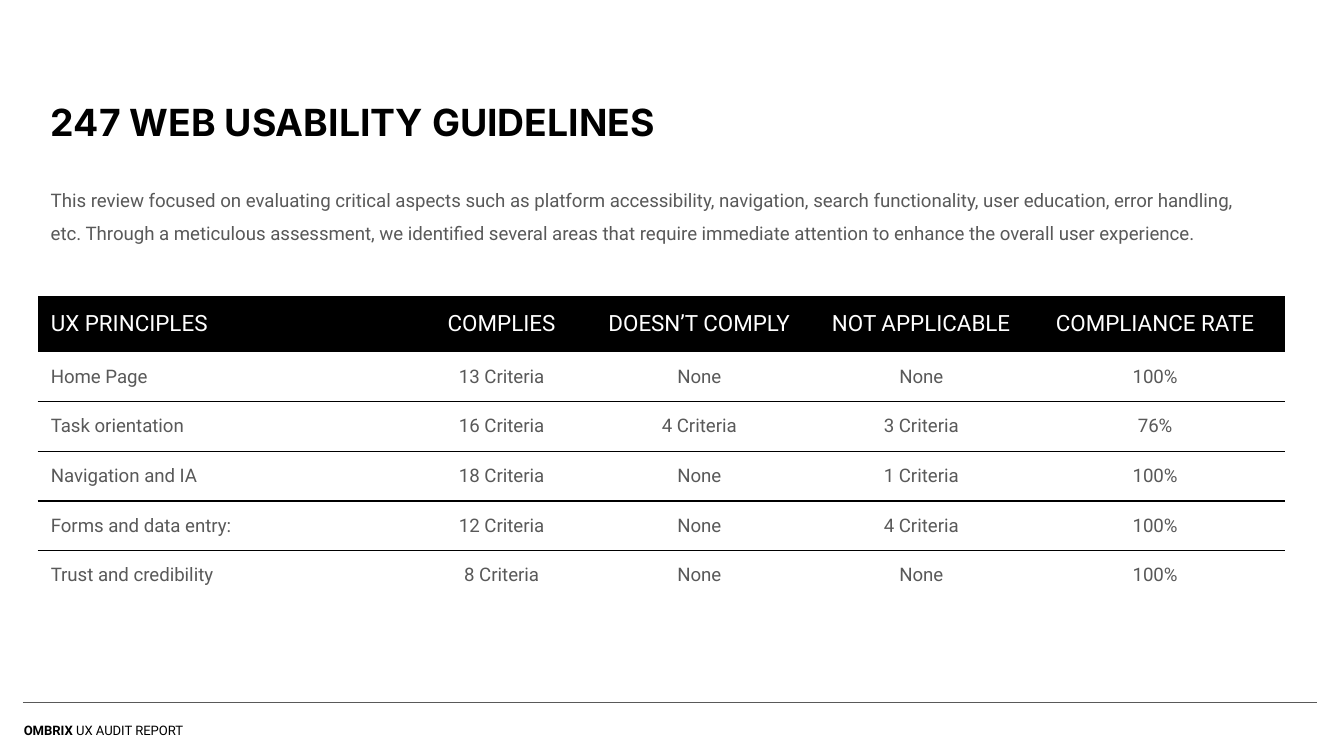
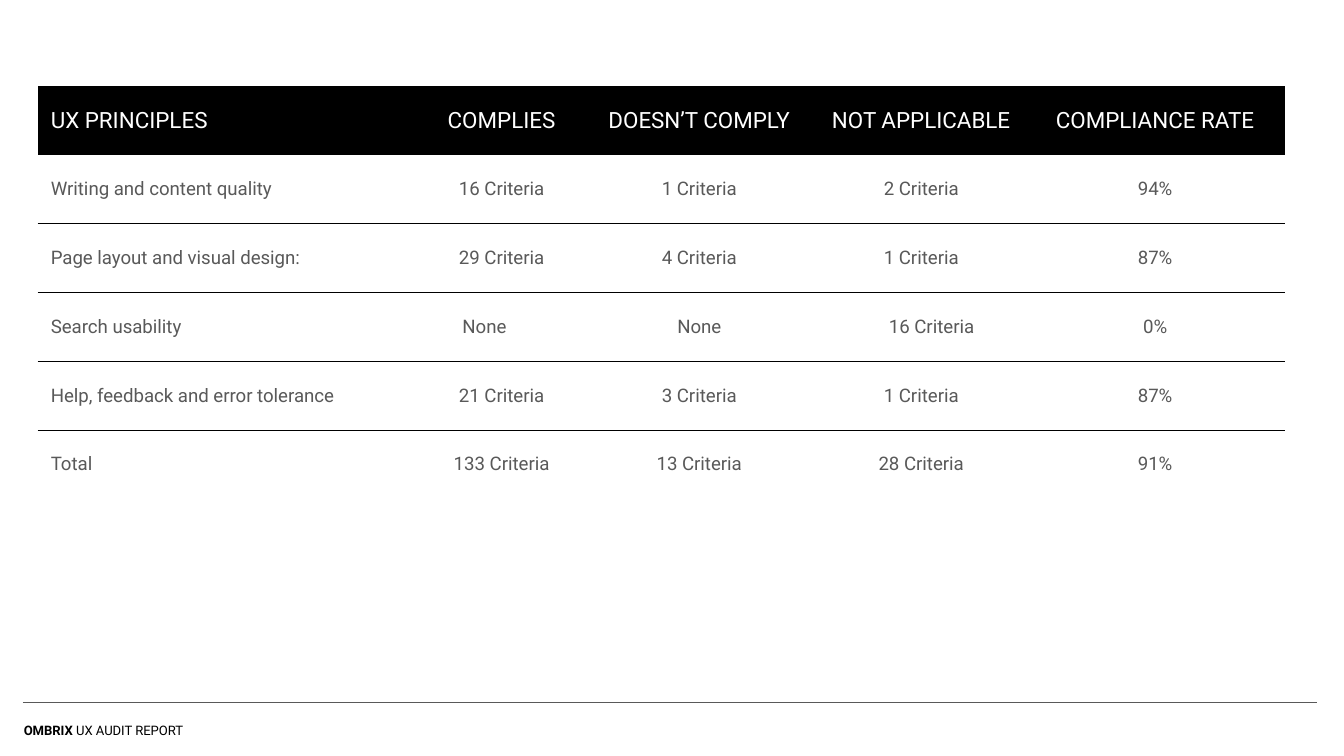
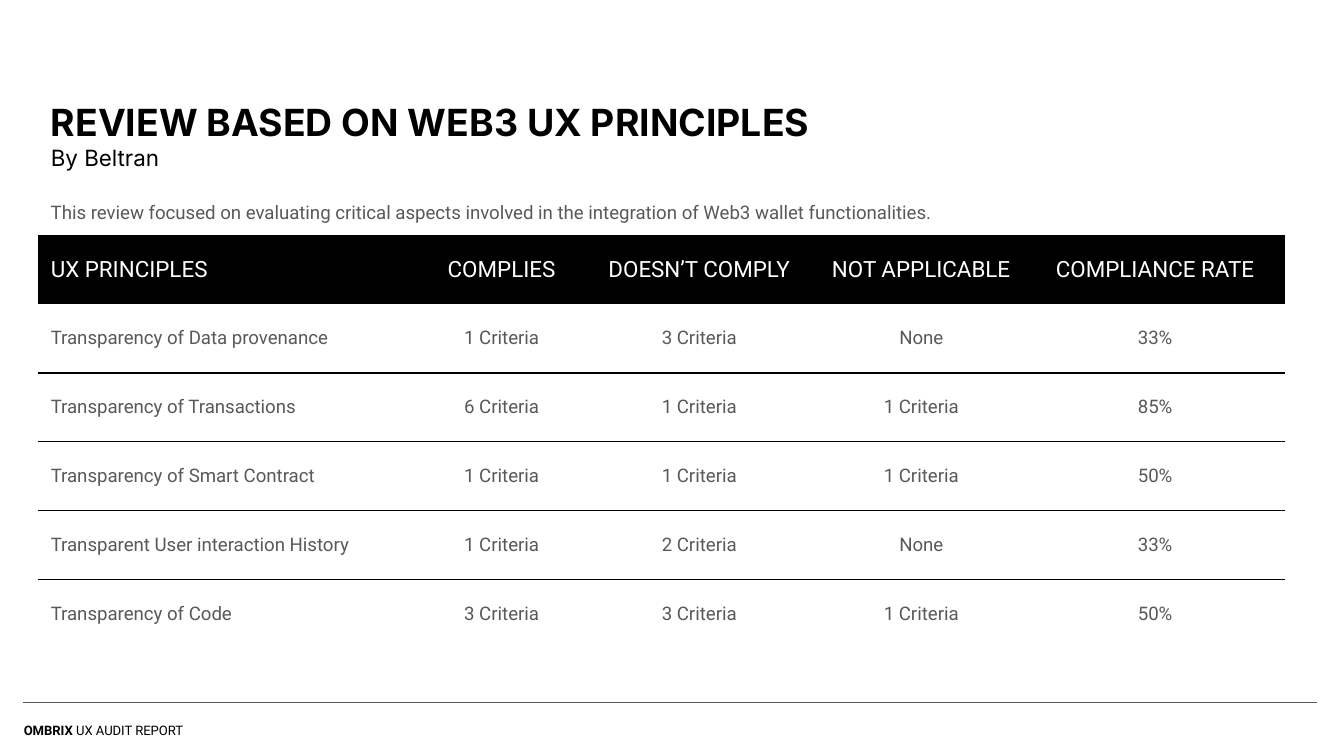
from lxml import etree
from pptx import Presentation
from pptx import util as u
from pptx.dml.color import RGBColor
from pptx.enum import shapes, text
from pptx.oxml import ns

Cm, Pt = u.Cm, u.Pt
COLORS = {"ink": "000000", "paper": "FFFFFF", "grey": "595959"}
HEAD_FONT, BODY_FONT = "Inter", "Roboto"
TITLE_ONLY, BLANK = 5, 6
LEFT = 0.71
INSET = 0.25
RULE_PT = 0.75
NO_STYLE = "{2D5ABB26-0587-4C30-8999-92F81FD0307C}"

COLUMN_WIDTHS = (7.26, 3.02, 4.45, 3.94, 4.9)
HEADERS = ("UX PRINCIPLES", "COMPLIES", "DOESN’T COMPLY",
           "NOT APPLICABLE", "COMPLIANCE RATE")
USABILITY = [
    ("Home Page", "13 Criteria", "None", "None", "100%"),
    ("Task orientation", "16 Criteria", "4 Criteria", "3 Criteria", "76%"),
    ("Navigation and IA", "18 Criteria", "None", "1 Criteria", "100%"),
    ("Forms and data entry:", "12 Criteria", "None", "4 Criteria", "100%"),
    ("Trust and credibility", "8 Criteria", "None", "None", "100%"),
]
CONTENT = [
    ("Writing and content quality", "16 Criteria", "1 Criteria", "2 Criteria", "94%"),
    ("Page layout and visual design:", "29 Criteria", "4 Criteria", "1 Criteria", "87%"),
    ("Search usability", "None", "None", "16 Criteria", "0%"),
    ("Help, feedback and error tolerance", "21 Criteria", "3 Criteria", "1 Criteria", "87%"),
    ("Total", "133 Criteria", "13 Criteria", "28 Criteria", "91%"),
]
CONTENT_INDENTS = {(3, 1): 0.77, (3, 3): 1.36}
WEB3 = [
    ("Transparency of Data provenance", "1 Criteria", "3 Criteria", "None", "33%"),
    ("Transparency of Transactions", "6 Criteria", "1 Criteria", "1 Criteria", "85%"),
    ("Transparency of Smart Contract", "1 Criteria", "1 Criteria", "1 Criteria", "50%"),
    ("Transparent User interaction History", "1 Criteria", "2 Criteria", "None", "33%"),
    ("Transparency of Code", "3 Criteria", "3 Criteria", "1 Criteria", "50%"),
]


def rgb(name):
    return RGBColor.from_string(COLORS[name])


def add_run(p, words, size, color, font=BODY_FONT, bold=False):
    r = p.add_run()
    r.text = words
    r.font.size, r.font.name, r.font.bold = Pt(size), font, bold
    r.font.color.rgb = rgb(color)


def set_frame(sp, box):
    """Place a text shape and give it the shared insets and wrapping."""
    sp.left, sp.top, sp.width, sp.height = (Cm(v) for v in box)
    tf = sp.text_frame
    tf.margin_left = tf.margin_right = tf.margin_top = tf.margin_bottom = Cm(INSET)
    tf.word_wrap = True
    tf.vertical_anchor = text.MSO_ANCHOR.TOP
    tf.auto_size = text.MSO_AUTO_SIZE.SHAPE_TO_FIT_TEXT
    return tf


def add_textbox(s, box):
    """Add a one-paragraph box with open line spacing; return the paragraph."""
    tf = set_frame(s.shapes.add_textbox(0, 0, 0, 0), box)
    p = tf.paragraphs[0]
    p.line_spacing = 1.5
    return p


def add_footer(s, left=0.2, top=13.28):
    p = add_textbox(s, (left, top, 5.26, 0.81))
    add_run(p, "OMBRIX ", 7, "ink", bold=True)
    add_run(p, "UX AUDIT REPORT", 7, "ink")
    rule = s.shapes.add_connector(shapes.MSO_CONNECTOR.STRAIGHT,
                                  Cm(left + 0.23), Cm(top), Cm(24.89), Cm(top))
    rule.line.color.rgb = rgb("grey")
    rule.line.width = Pt(RULE_PT)
    etree.SubElement(rule._element.spPr, ns.qn("a:effectLst"))


def fill_title(s, title, byline=None):
    tf = set_frame(s.shapes.title, (LEFT, 1.63, 22.94, 1.88 if byline else 1.37))
    p = tf.paragraphs[0]
    p.alignment = text.PP_ALIGN.LEFT
    add_run(p, title, 20, "ink", HEAD_FONT, bold=True)
    if byline:
        p = tf.add_paragraph()
        p.alignment = text.PP_ALIGN.LEFT
        add_run(p, byline, 12, "ink", HEAD_FONT)


def add_intro(s, words, top, height):
    add_run(add_textbox(s, (LEFT, top, 23.2, height)), words, 10, "grey")


def add_borders(cell, edges):
    """Rule the given edges, in schema order, ahead of the cell's fill."""
    tcPr = cell._tc.get_or_add_tcPr()
    for i, edge in enumerate(edges):
        ln = etree.Element(ns.qn(f"a:ln{edge}"), w=str(Pt(RULE_PT)))
        solid = etree.SubElement(ln, ns.qn("a:solidFill"))
        etree.SubElement(solid, ns.qn("a:srgbClr"), val=COLORS["ink"])
        tcPr.insert(i, ln)


def fill_cell(cell, words, header, first, indent):
    cell.vertical_anchor = text.MSO_ANCHOR.MIDDLE
    cell.margin_left = cell.margin_right = Cm(INSET if header or first else 0)
    cell.margin_top = cell.margin_bottom = Cm(0.18 if header else 0)
    p = cell.text_frame.paragraphs[0]
    if indent:
        p._p.get_or_add_pPr().set("marL", str(Cm(indent)))
    p.alignment = text.PP_ALIGN.LEFT if first or indent else text.PP_ALIGN.CENTER
    if header:
        cell.fill.solid()
        cell.fill.fore_color.rgb = rgb("ink")
        add_run(p, words, 12, "paper")
    else:
        cell.fill.background()
        add_run(p, words, 10, "grey")


def add_criteria_table(s, rows, top, header_height, row_height, indents=None):
    """Add a scored table; indents maps (row, column) to a left indent in cm."""
    indents = indents or {}
    grid = [HEADERS, *rows]
    heights = [header_height] + [row_height] * len(rows)
    frame = s.shapes.add_table(len(grid), len(HEADERS), Cm(LEFT), Cm(top),
                               Cm(sum(COLUMN_WIDTHS)), Cm(sum(heights)))
    table = frame.table
    table.horz_banding = table.first_row = False
    table._tbl.tblPr.find(ns.qn("a:tableStyleId")).text = NO_STYLE
    for column, width in zip(table.columns, COLUMN_WIDTHS):
        column.width = Cm(width)
    for i, values in enumerate(grid):
        table.rows[i].height = Cm(heights[i])
        edges = ("T" if i > 1 else "") + ("B" if 0 < i < len(rows) else "")
        for j, words in enumerate(values):
            cell = table.cell(i, j)
            fill_cell(cell, words, i == 0, j == 0, indents.get((i, j)))
            add_borders(cell, edges)


def add_slide(prs, layout):
    s = prs.slides.add_slide(prs.slide_layouts[layout])
    add_footer(s)
    return s


def usability_slide(prs):
    s = add_slide(prs, TITLE_ONLY)
    fill_title(s, "247 WEB USABILITY GUIDELINES")
    add_criteria_table(s, USABILITY, 5.59, 1.06, 0.94)
    add_intro(s, "This review focused on evaluating critical aspects such as platform "
              "accessibility, navigation, search functionality, user education, error "
              "handling, etc. Through a meticulous assessment, we identified several "
              "areas that require immediate attention to enhance the overall user "
              "experience.", 3.1, 1.57)


def content_slide(prs):
    s = add_slide(prs, BLANK)
    add_criteria_table(s, CONTENT, 1.63, 1.3, 1.3, CONTENT_INDENTS)


def web3_slide(prs):
    s = add_slide(prs, TITLE_ONLY)
    fill_title(s, "REVIEW BASED ON WEB3 UX PRINCIPLES", "By Beltran")
    add_criteria_table(s, WEB3, 4.45, 1.3, 1.3)
    add_intro(s, "This review focused on evaluating critical aspects involved in the "
              "integration of Web3 wallet functionalities.", 3.33, 0.94)


def main():
    prs = Presentation()
    prs.slide_width, prs.slide_height = Cm(25.4), Cm(14.29)
    usability_slide(prs)
    content_slide(prs)
    web3_slide(prs)
    prs.save("out.pptx")


if __name__ == "__main__":
    main()
